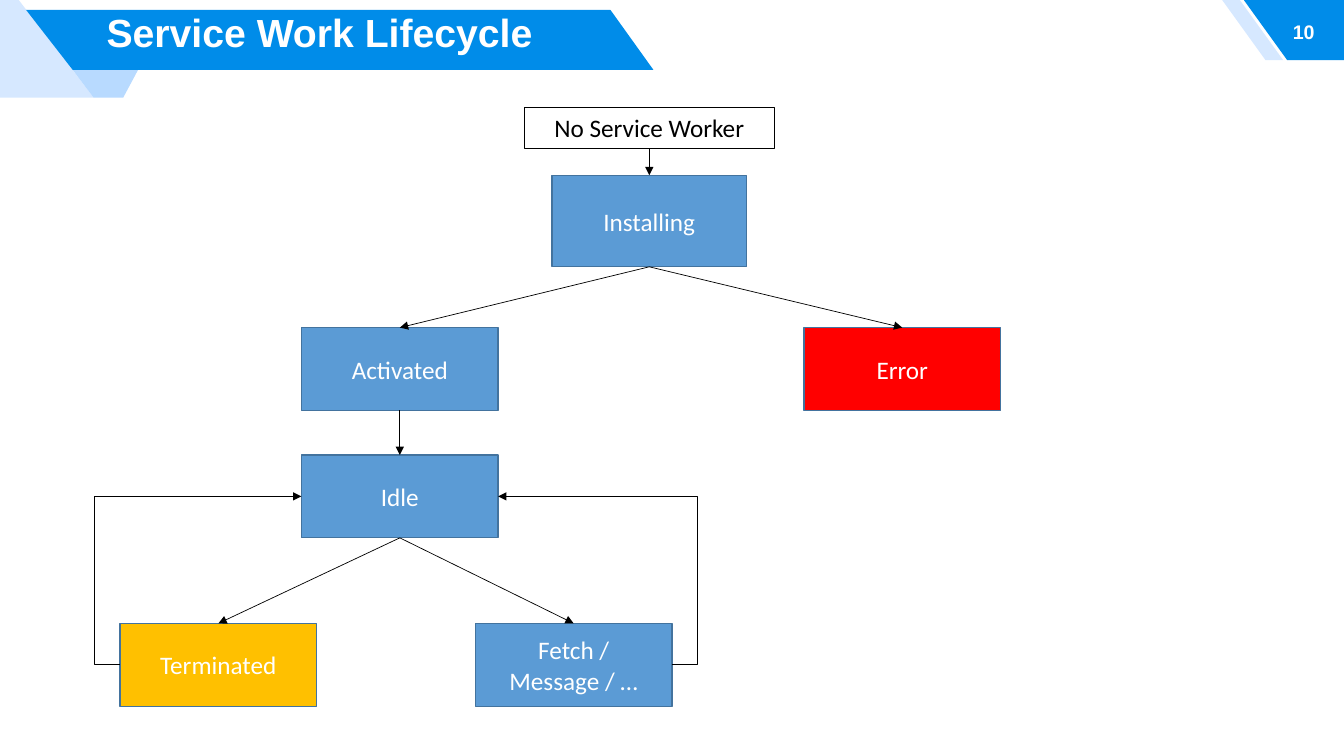
import pptx
import pptx.dml.color
import pptx.enum.shapes
import pptx.enum.text
import pptx.oxml
import pptx.oxml.ns
import pptx.util

Pt = pptx.util.Pt
ALIGN = pptx.enum.text.PP_ALIGN
ANCHOR = pptx.enum.text.MSO_ANCHOR
CONNECTOR = pptx.enum.shapes.MSO_CONNECTOR

COLORS = {
    "white": "FFFFFF", "black": "000000",
    "banner": "008CE9", "pale": "D6E8FF", "light": "B8DAFF",
    "state": "5B9BD5", "edge": "43739E", "error": "FF0000", "ended": "FFC000",
}
TOP, LEFT, BOTTOM, RIGHT = range(4)  # connection sites of a rectangle


def rgb(name):
    return pptx.dml.color.RGBColor.from_string(COLORS[name])


def write(frame, text, size=18, font="Calibri", color="white", bold=False,
          align=ALIGN.CENTER, anchor=ANCHOR.MIDDLE, spacing=1.0):
    frame.word_wrap = True
    frame.vertical_anchor = anchor
    paragraph = frame.paragraphs[0]
    paragraph.alignment = align
    paragraph.line_spacing = spacing
    run = paragraph.add_run()
    run.text = text
    run.font.size = Pt(size)
    run.font.name = font
    run.font.bold = bold
    run.font.color.rgb = rgb(color)


class Diagram:
    def __init__(self, slide):
        self.shapes = slide.shapes

    def polygon(self, points, fill):
        start, *rest = [(Pt(x), Pt(y)) for x, y in points]
        builder = self.shapes.build_freeform(*start, scale=1.0)
        builder.add_line_segments(rest, close=True)
        shape = builder.convert_to_shape()
        shape.shadow.inherit = False
        shape.fill.solid()
        shape.fill.fore_color.rgb = rgb(fill)
        shape.line.fill.background()

    def label(self, text, x, y, width, height, **style):
        box = self.shapes.add_textbox(Pt(x), Pt(y), Pt(width), Pt(height))
        write(box.text_frame, text, font="Arial", bold=True, **style)

    def box(self, text, center, y, width=140.6, height=59.2, fill="state",
            edge="edge", weight=1, **style):
        shape = self.shapes.add_shape(
            pptx.enum.shapes.MSO_SHAPE.RECTANGLE,
            Pt(center - width / 2), Pt(y), Pt(width), Pt(height))
        shape.shadow.inherit = False
        if fill:
            shape.fill.solid()
            shape.fill.fore_color.rgb = rgb(fill)
        else:
            shape.fill.background()
        shape.line.color.rgb = rgb(edge)
        shape.line.width = Pt(weight)
        write(shape.text_frame, text, **style)
        return shape

    def arrow(self, source, target, source_site=BOTTOM, target_site=TOP, bend=None):
        kind = CONNECTOR.STRAIGHT if bend is None else CONNECTOR.ELBOW
        line = self.shapes.add_connector(kind, 0, 0, 0, 0)
        line.begin_connect(source, source_site)
        line.end_connect(target, target_site)
        line.line.color.rgb = rgb("black")
        line.line.width = Pt(0.5)
        namespace = pptx.oxml.ns.nsdecls("a")
        line.line._get_or_add_ln().append(
            pptx.oxml.parse_xml(f'<a:tailEnd {namespace} type="triangle"/>'))
        properties = line._element.spPr
        properties.append(pptx.oxml.parse_xml(f"<a:effectLst {namespace}/>"))
        if bend is not None:
            geometry = properties.find(pptx.oxml.ns.qn("a:prstGeom"))
            for old in list(geometry):
                geometry.remove(old)
            geometry.append(pptx.oxml.parse_xml(
                f'<a:avLst {namespace}><a:gd name="adj1" '
                f'fmla="val {round(bend * 100000)}"/></a:avLst>'))


def main():
    deck = pptx.Presentation()
    deck.slide_width, deck.slide_height = Pt(960), Pt(540)
    diagram = Diagram(deck.slides.add_slide(deck.slide_layouts[6]))

    # Title banner and page corner
    diagram.polygon([(0, 0), (13.4, 0), (67, 69.8), (0, 69.8)], "pale")
    diagram.polygon([(98.6, 50), (88, 69.8), (67, 69.8), (52, 50)], "light")
    diagram.polygon([(18.6, 7), (436, 7), (466.8, 50), (52, 50)], "banner")
    diagram.polygon([(960, 0), (888.5, 0), (919.5, 43), (960, 43)], "banner")
    diagram.polygon([(885.6, 0), (873, 0), (904, 43), (916.6, 43)], "pale")
    diagram.label("Service Work Lifecycle", 33.8, 6.5, 388.8, 43.2,
                  size=28, anchor=ANCHOR.TOP, spacing=0.9)
    diagram.label("10", 910.8, 6.5, 35.3, 32.4, size=14, align=ALIGN.RIGHT)

    # Lifecycle states
    trunk, branch = 463.8, 285.6
    absent = diagram.box("No Service Worker", trunk, 76.8, 178.6, 29.1, fill=None,
                         edge="black", weight=0.25, color="black")
    installing = diagram.box("Installing", trunk, 125.2, 139, 65.4)
    activated = diagram.box("Activated", branch, 234)
    error = diagram.box("Error", 644.5, 234, fill="error")
    idle = diagram.box("Idle", branch, 325)
    terminated = diagram.box("Terminated", 156, 445.3, fill="ended")
    fetch = diagram.box("Fetch / Message / …", 409.8, 445.3)

    # Transitions
    for source, target in [(absent, installing), (installing, activated),
                           (installing, error), (activated, idle),
                           (idle, terminated), (idle, fetch)]:
        diagram.arrow(source, target)
    diagram.arrow(fetch, idle, RIGHT, RIGHT, bend=-0.145)
    diagram.arrow(terminated, idle, LEFT, LEFT, bend=-0.139)

    deck.save("out.pptx")


if __name__ == "__main__":
    main()
